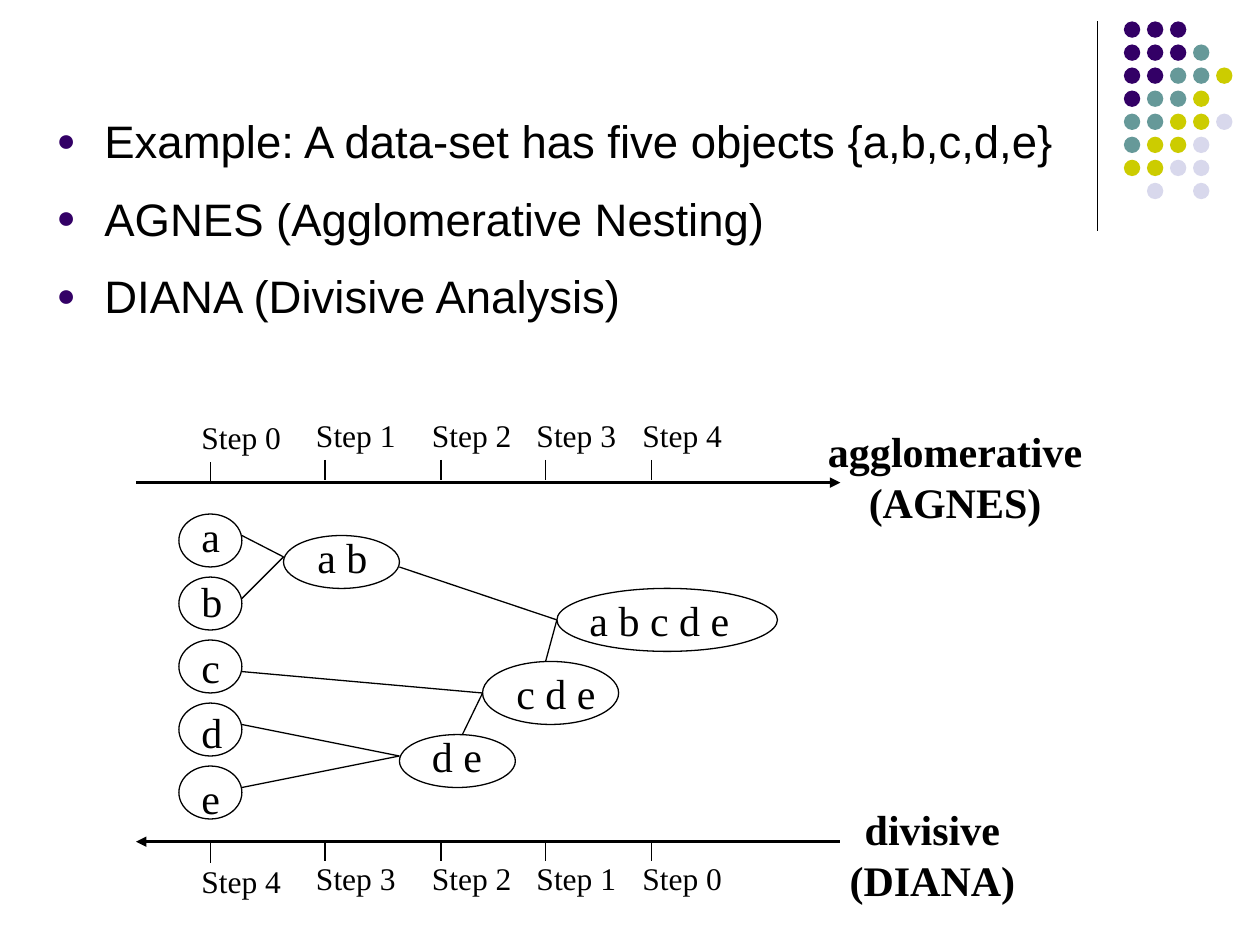
from lxml.etree import SubElement
from pptx import Presentation
from pptx.dml.color import RGBColor
from pptx.enum.shapes import MSO_CONNECTOR, MSO_SHAPE
from pptx.enum.text import PP_ALIGN
from pptx.oxml.ns import qn
from pptx.util import Inches, Pt

BLACK, PURPLE = "000000", "330066"
SERIF = "Times New Roman"

BULLETS = [
    "Example: A data-set has five objects {a,b,c,d,e}",
    "AGNES (Agglomerative Nesting)",
    "DIANA (Divisive Analysis)",
]

DOT_COLORS = {"P": PURPLE, "T": "669999", "Y": "CCCC00", "L": "D8D8EC"}
DOT_ROWS = ["PPP", "PPPT", "PPTTY", "PTTY", "TTYYL", "TYYL", "YYLL", " L L"]

STEP_XS = [1.67, 2.58, 3.5, 4.33, 5.17]
AXES = [
    {"y": 3.83, "arrow": "tailEnd", "tick_top": 3.65, "label_top": 3.25,
     "steps": [0, 1, 2, 3, 4]},
    {"y": 6.68, "arrow": "headEnd", "tick_top": 6.67, "label_top": 6.77,
     "steps": [4, 3, 2, 1, 0]},
]
DIRECTIONS = [
    (["agglomerative", "(AGNES)"], (6.47, 3.33, 2.22, 0.9)),
    (["divisive", "(DIANA)"], (6.64, 6.33, 1.52, 0.9)),
]

OBJECTS = "abcde"
MERGED = [
    ("a b", (2.42, 4.17, 0.6, 0.5), (2.25, 4.25, 0.92, 0.42)),
    ("d e", (3.33, 5.75, 0.6, 0.5), (3.17, 5.83, 0.92, 0.42)),
    ("c d e", (4, 5.25, 0.83, 0.5), (3.83, 5.25, 1.08, 0.5)),
    ("a b c d e", (4.58, 4.67, 1.31, 0.5), (4.42, 4.67, 1.75, 0.5)),
]
BRANCHES = [
    ((1.92, 4.25), (2.25, 4.42)),
    ((1.92, 4.75), (2.25, 4.42)),
    ((1.92, 5.75), (3.17, 6)),
    ((1.92, 6.25), (3.17, 6)),
    ((1.92, 5.33), (3.83, 5.5)),
    ((3.67, 5.83), (3.83, 5.5)),
    ((3.17, 4.5), (4.42, 4.92)),
    ((4.33, 5.25), (4.42, 4.92)),
]


def color(hex_code):
    return RGBColor.from_string(hex_code)


def add_line(slide, start, end, width=0.75, arrow=None):
    line = slide.shapes.add_connector(
        MSO_CONNECTOR.STRAIGHT, *map(Inches, (*start, *end)))
    line.line.color.rgb = color(BLACK)
    line.line.width = Pt(width)
    if arrow:
        SubElement(line.line._get_or_add_ln(), qn(f"a:{arrow}"), type="triangle")
    SubElement(line._element.spPr, qn("a:effectLst"))


def add_ellipse(slide, box, fill=None):
    ellipse = slide.shapes.add_shape(MSO_SHAPE.OVAL, *map(Inches, box))
    ellipse.shadow.inherit = False
    if fill:
        ellipse.fill.solid()
        ellipse.fill.fore_color.rgb = color(fill)
        ellipse.line.fill.background()
    else:
        ellipse.fill.background()
        ellipse.line.color.rgb = color(BLACK)
        ellipse.line.width = Pt(0.75)


def add_text(slide, lines, box, size, font=SERIF, bold=False, align=PP_ALIGN.LEFT,
             wrap=False, bulleted=False):
    frame = slide.shapes.add_textbox(*map(Inches, box)).text_frame
    frame.word_wrap = wrap
    for index, line in enumerate(lines):
        paragraph = frame.paragraphs[0] if index == 0 else frame.add_paragraph()
        paragraph.text = line
        paragraph.alignment = align
        if bulleted:
            add_bullet(paragraph)
            paragraph.line_spacing = 1.2
            paragraph.space_before = Pt(7 if index else 0)
        paragraph.font.name = font
        paragraph.font.size = Pt(size)
        paragraph.font.bold = bold
        paragraph.font.color.rgb = color(BLACK)


def add_bullet(paragraph):
    properties = paragraph._p.get_or_add_pPr()
    properties.set("marL", str(Inches(0.38)))
    properties.set("indent", str(-Inches(0.38)))
    bullet_color = SubElement(properties, qn("a:buClr"))
    SubElement(bullet_color, qn("a:srgbClr"), val=PURPLE)
    SubElement(properties, qn("a:buSzPct"), val="70000")
    SubElement(properties, qn("a:buFont"), typeface="Arial")
    SubElement(properties, qn("a:buChar"), char="●")


def add_dots(slide):
    add_line(slide, (8.71, 0.17), (8.71, 1.83))
    for row, dots in enumerate(DOT_ROWS):
        for column, dot in enumerate(dots):
            if dot in DOT_COLORS:
                box = (8.92 + column * 0.183, 0.17 + row * 0.183, 0.13, 0.13)
                add_ellipse(slide, box, DOT_COLORS[dot])


def add_axis(slide, axis):
    add_line(slide, (1.08, axis["y"]), (6.67, axis["y"]), 1.5, axis["arrow"])
    for column, (x, step) in enumerate(zip(STEP_XS, axis["steps"])):
        drop = 0 if column else 0.02
        tick_top = axis["tick_top"] + drop
        add_line(slide, (x, tick_top), (x, tick_top + 0.16))
        add_text(slide, [f"Step {step}"],
                 (x - 0.17, axis["label_top"] + drop, 0.83, 0.4), 18, wrap=True)


def add_clusters(slide):
    for row, name in enumerate(OBJECTS):
        add_text(slide, [name], (1.5, 4 + row * 0.52, 0.35, 0.5), 24)
        add_ellipse(slide, (1.42, 4.08 + row * 0.5, 0.5, 0.42))
    for name, text_box, ellipse_box in MERGED:
        add_text(slide, [name], text_box, 24)
        add_ellipse(slide, ellipse_box)
    for start, end in BRANCHES:
        add_line(slide, start, end)


def main():
    deck = Presentation()
    deck.slide_width, deck.slide_height = Inches(10), Inches(7.5)
    slide = deck.slides.add_slide(deck.slide_layouts[6])
    add_dots(slide)
    add_text(slide, BULLETS, (0.35, 0.76, 8.69, 2.2), 26, font="Arial",
             wrap=True, bulleted=True)
    for axis in AXES:
        add_axis(slide, axis)
    add_clusters(slide)
    for lines, box in DIRECTIONS:
        add_text(slide, lines, box, 24, bold=True, align=PP_ALIGN.CENTER)
    deck.save("out.pptx")


if __name__ == "__main__":
    main()
